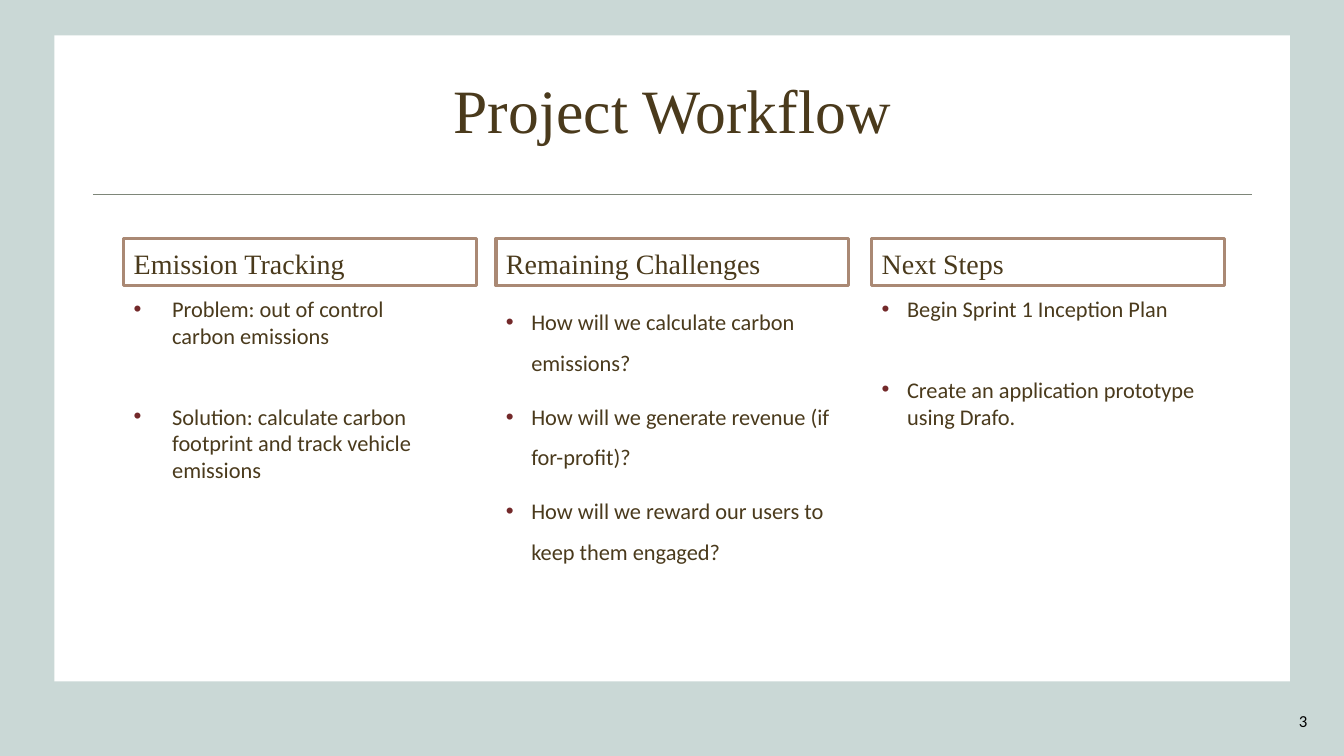
import pptx
import pptx.dml.color
import pptx.enum.shapes
import pptx.enum.text
import pptx.oxml.ns
import pptx.util
from lxml import etree

Cm, Pt = pptx.util.Cm, pptx.util.Pt
ALIGN, ANCHOR = pptx.enum.text.PP_ALIGN, pptx.enum.text.MSO_ANCHOR

COLORS = {
    "background": "CAD8D6", "panel": "FFFFFF", "rule": "7E8679", "border": "AA8974",
    "text": "4A3A1C", "bullet": "73292A", "number": "000000",
}
SERIF, SANS = "Times New Roman", "Calibri"
HARD_SPACE = chr(160)  # keeps two words on one line

# Left edge, heading, bullets, paragraph format and bullet indent (cm) of each column
SPACED = {"space_before": Pt(38.5)}
OPEN_LINES = {"space_before": Pt(10), "line_spacing": 1.5}
COLUMNS = [
    (3.12, "Emission Tracking", [
        f"Problem: out of control carbon{HARD_SPACE}emissions",
        "Solution: calculate carbon footprint and track vehicle emissions",
    ], SPACED, 0.97),
    (12.5, "Remaining Challenges", [
        "How will we calculate carbon emissions?",
        "How will we generate revenue (if for-profit)?",
        "How will we reward our users to keep them engaged?",
    ], OPEN_LINES, 0.64),
    (21.97, "Next Steps", [
        f"Begin Sprint 1 Inception{HARD_SPACE}Plan",
        "Create an application prototype using Drafo.",
    ], SPACED, 0.64),
]


def rgb(name):
    return pptx.dml.color.RGBColor.from_string(COLORS[name])


def apply(target, values):
    for name, value in values.items():
        setattr(target, name, value)


def write(shape, lines, font, size, color="text", anchor=ANCHOR.TOP, **paragraph_format):
    """Fill a shape with one paragraph per line and return the paragraphs."""
    frame = shape.text_frame
    apply(frame, {"word_wrap": True, "vertical_anchor": anchor,
                  "auto_size": pptx.enum.text.MSO_AUTO_SIZE.NONE})
    frame.text = "\n".join(lines)
    for paragraph in frame.paragraphs:
        apply(paragraph, {"alignment": ALIGN.LEFT, **paragraph_format})
        for run in paragraph.runs:
            apply(run.font, {"name": font, "size": Pt(size)})
            run.font.color.rgb = rgb(color)
    return frame.paragraphs


def add_bullet(paragraph, indent):
    properties = paragraph._p.get_or_add_pPr()
    properties.set("marL", str(Cm(indent)))
    properties.set("indent", str(-Cm(indent)))
    qn = pptx.oxml.ns.qn
    bullet_color = etree.SubElement(properties, qn("a:buClr"))
    etree.SubElement(bullet_color, qn("a:srgbClr"), val=COLORS["bullet"])
    etree.SubElement(properties, qn("a:buFont"), typeface="Arial")
    etree.SubElement(properties, qn("a:buChar"), char="•")


def add_box(slide, left, top, width, height):
    box = slide.shapes.add_shape(pptx.enum.shapes.MSO_SHAPE.RECTANGLE,
                                 Cm(left), Cm(top), Cm(width), Cm(height))
    box.shadow.inherit = False
    return box


def add_header(slide, left, top, width, height):
    """White panel with the title and the rule below it."""
    title = slide.shapes.title
    panel = add_box(slide, left, top, width, height)
    panel.fill.solid()
    panel.fill.fore_color.rgb = rgb("panel")
    panel.line.fill.background()
    title.element.addprevious(panel.element)

    inner_left, inner_width = left + 0.97, width - 1.93
    apply(title, {"left": Cm(inner_left), "top": Cm(top + 0.13),
                  "width": Cm(inner_width), "height": Cm(3.68)})
    write(title, ["Project Workflow"], SERIF, 44, anchor=ANCHOR.MIDDLE,
          alignment=ALIGN.CENTER, line_spacing=0.9)

    rule_y = Cm(top + 4.01)
    rule = slide.shapes.add_connector(pptx.enum.shapes.MSO_CONNECTOR.STRAIGHT,
                                      Cm(inner_left), rule_y,
                                      Cm(inner_left + inner_width), rule_y)
    rule.line.color.rgb = rgb("rule")
    rule.line.width = Pt(1)
    etree.SubElement(rule.element.spPr, pptx.oxml.ns.qn("a:effectLst"))


def add_column(slide, left, top, width, height, heading, bullets, bullet_format, indent):
    """Framed heading with a bullet list below it."""
    frame = add_box(slide, left, top, width, 1.19)
    frame.fill.background()
    frame.line.color.rgb = rgb("border")
    frame.line.width = Pt(2.25)
    write(frame, [heading], SERIF, 20, anchor=ANCHOR.BOTTOM, line_spacing=0.9)

    body = slide.shapes.add_textbox(Cm(left), Cm(top + 1.3), Cm(width), Cm(height - 1.3))
    for paragraph in write(body, bullets, SANS, 16, **bullet_format):
        add_bullet(paragraph, indent)


def add_page_number(slide, left, top, width, height):
    number = slide.shapes.add_textbox(Cm(left), Cm(top), Cm(width), Cm(height))
    write(number, ["3"], SANS, 12, "number", ANCHOR.MIDDLE, alignment=ALIGN.RIGHT)


def main():
    presentation = pptx.Presentation()
    apply(presentation, {"slide_width": Cm(33.87), "slide_height": Cm(19.05)})
    slide = presentation.slides.add_slide(presentation.slide_layouts[5])
    slide.background.fill.solid()
    slide.background.fill.fore_color.rgb = rgb("background")

    add_header(slide, 1.37, 0.89, 31.14, 16.28)
    for left, *content in COLUMNS:
        add_column(slide, left, 6.01, 8.89, 10.52, *content)
    add_page_number(slide, 25.58, 17.65, 7.62, 1.02)
    presentation.save("out.pptx")


if __name__ == "__main__":
    main()
